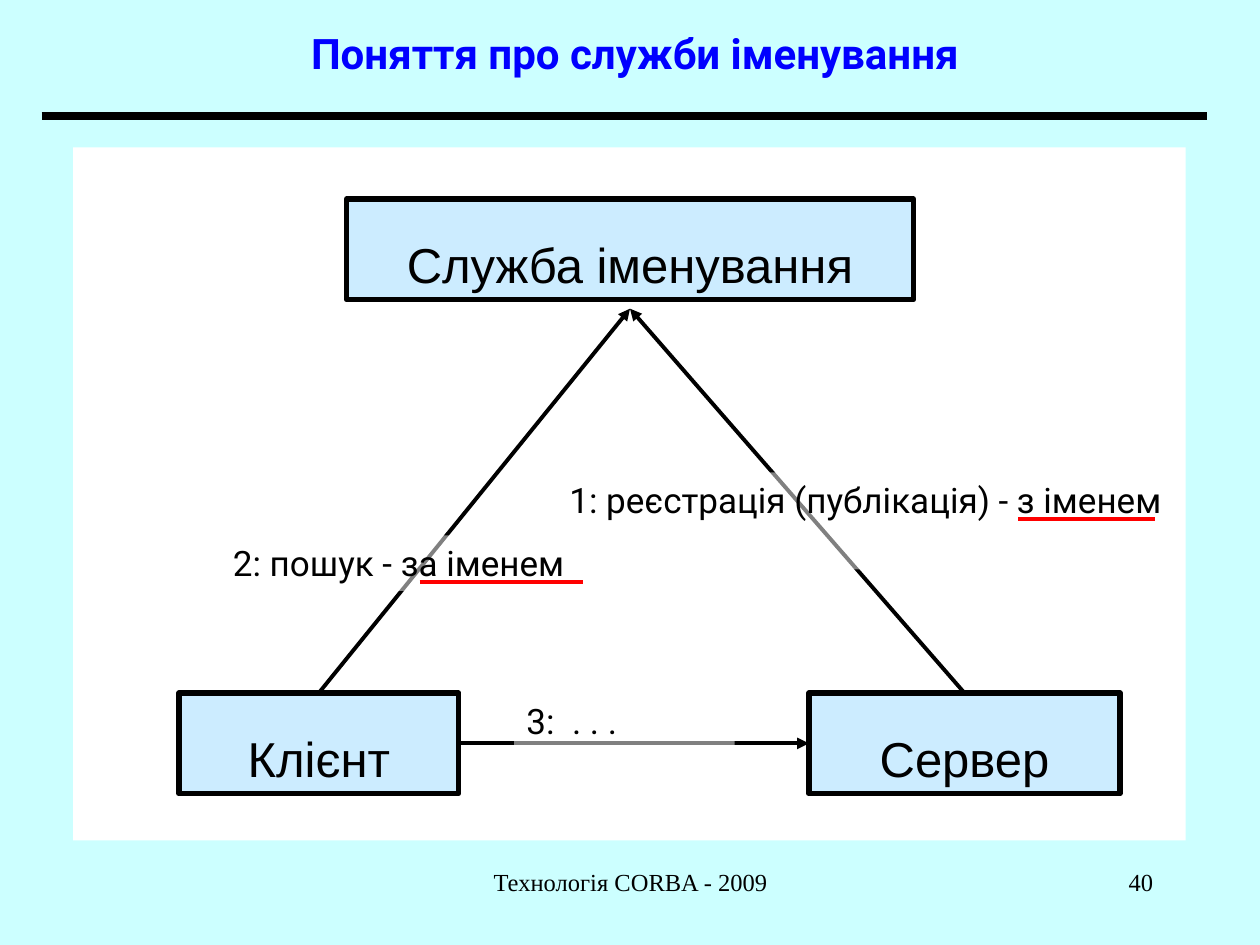
import pptx
import pptx.dml.color
import pptx.enum.shapes
import pptx.enum.text
import pptx.oxml
import pptx.oxml.ns
import pptx.util

Inches = pptx.util.Inches
Pt = pptx.util.Pt
RGBColor = pptx.dml.color.RGBColor
ALIGN = pptx.enum.text.PP_ALIGN
ANCHOR = pptx.enum.text.MSO_ANCHOR
SHAPE = pptx.enum.shapes.MSO_SHAPE
CONNECTOR = pptx.enum.shapes.MSO_CONNECTOR

BLACK = RGBColor(0x00, 0x00, 0x00)
WHITE = RGBColor(0xFF, 0xFF, 0xFF)
BLUE = RGBColor(0x00, 0x00, 0xFF)
RED = RGBColor(0xFF, 0x00, 0x00)
CYAN = RGBColor(0xCC, 0xFF, 0xFF)
PALE_BLUE = RGBColor(0xCC, 0xEC, 0xFF)

TOP, LEFT, BOTTOM, RIGHT = range(4)


class Diagram:
    title = {"name": "Roboto", "size": Pt(24), "bold": True}
    node = {"name": "Arial", "size": Pt(28)}
    label = {"name": "Roboto", "size": Pt(20)}
    footer = {"name": "Times New Roman", "size": Pt(14)}

    def __init__(self, slide):
        self.s = slide
        fill = slide.background.fill
        fill.solid()
        fill.fore_color.rgb = CYAN

    def set_text(self, sp, text, font, color=BLACK, align=ALIGN.LEFT,
                 anchor=ANCHOR.TOP, spacing=1.0):
        tf = sp.text_frame
        p = tf.paragraphs[0]
        r = p.add_run()
        r.text = text
        r.font.color.rgb = color
        for target, values in (
            (tf, {"word_wrap": True, "vertical_anchor": anchor}),
            (p, {"alignment": align, "line_spacing": spacing}),
            (r.font, font),
        ):
            for key, value in values.items():
                setattr(target, key, value)

    def add_text(self, box, text, font, **layout):
        sp = self.s.shapes.add_textbox(*map(Inches, box))
        self.set_text(sp, text, font, **layout)

    def add_rect(self, box, color):
        sp = self.s.shapes.add_shape(SHAPE.RECTANGLE, *map(Inches, box))
        sp.shadow.inherit = False
        sp.fill.solid()
        sp.fill.fore_color.rgb = color
        sp.line.fill.background()
        return sp

    def add_node(self, box, text):
        sp = self.add_rect(box, PALE_BLUE)
        sp.line.color.rgb = BLACK
        sp.line.width = Pt(3)
        self.set_text(sp, text, self.node, align=ALIGN.CENTER, spacing=1.5)
        return sp

    def add_xml(self, parent, tag, attributes=""):
        namespace = pptx.oxml.ns.nsdecls("a")
        parent.append(pptx.oxml.parse_xml(f"<a:{tag} {namespace} {attributes}/>"))

    def add_label(self, box, text):
        sp = self.add_rect(box, WHITE)
        color = sp._element.spPr.find(".//" + pptx.oxml.ns.qn("a:srgbClr"))
        self.add_xml(color, "alpha", 'val="50000"')
        self.set_text(sp, text, self.label)

    def add_line(self, start, end, color=BLACK, width=2.25):
        line = self.s.shapes.add_connector(
            CONNECTOR.STRAIGHT, *map(Inches, (*start, *end)))
        line.line.color.rgb = color
        line.line.width = Pt(width)
        self.add_xml(line._element.spPr, "effectLst")
        return line

    def add_arrow(self, start, end):
        line = self.add_line(start, end)
        ln = line._element.spPr.find(pptx.oxml.ns.qn("a:ln"))
        self.add_xml(ln, "tailEnd", 'type="triangle"')
        return line


def main():
    prs = pptx.Presentation()
    prs.slide_width = Inches(10)
    prs.slide_height = Inches(7.5)
    d = Diagram(prs.slides.add_slide(prs.slide_layouts[6]))

    d.add_rect((0.58, 1.17, 8.83, 5.5), WHITE)
    d.add_text((0.33, 0, 9.42, 0.83), "Поняття про служби іменування", d.title,
               color=BLUE, align=ALIGN.CENTER, anchor=ANCHOR.MIDDLE)
    d.add_line((0.33, 0.92), (9.58, 0.92), width=4.5)

    client = d.add_node((1.42, 5.5, 2.22, 0.8), "Клієнт")
    server = d.add_node((6.42, 5.5, 2.47, 0.8), "Сервер")
    d.add_node((2.75, 1.58, 4.5, 0.8), "Служба іменування")

    naming_point = (5, 2.45)
    for sp, x in ((server, 7.65), (client, 2.52)):
        d.add_arrow((x, 5.5), naming_point).begin_connect(sp, TOP)
    call = d.add_arrow((3.64, 5.9), (6.42, 5.9))
    call.begin_connect(client, RIGHT)
    call.end_connect(server, LEFT)

    for box, text in (
        ((4.42, 3.75, 4.92, 0.77), "1: реєстрація (публікація) - з іменем"),
        ((1.75, 4.25, 3, 0.44), "2: пошук - за іменем"),
        ((4.08, 5.5, 1.75, 0.44), "3:  . . ."),
    ):
        d.add_label(box, text)

    for left, right, y in ((8.08, 9.17, 4.12), (3.33, 4.63, 4.62)):
        d.add_line((left, y), (right, y), RED)

    d.add_text((3.42, 6.83, 3.17, 0.5), "Технологія CORBA - 2009", d.footer,
               align=ALIGN.CENTER)
    d.add_text((7.17, 6.83, 2.08, 0.5), "40", d.footer, align=ALIGN.RIGHT)

    prs.save("out.pptx")


if __name__ == "__main__":
    main()
